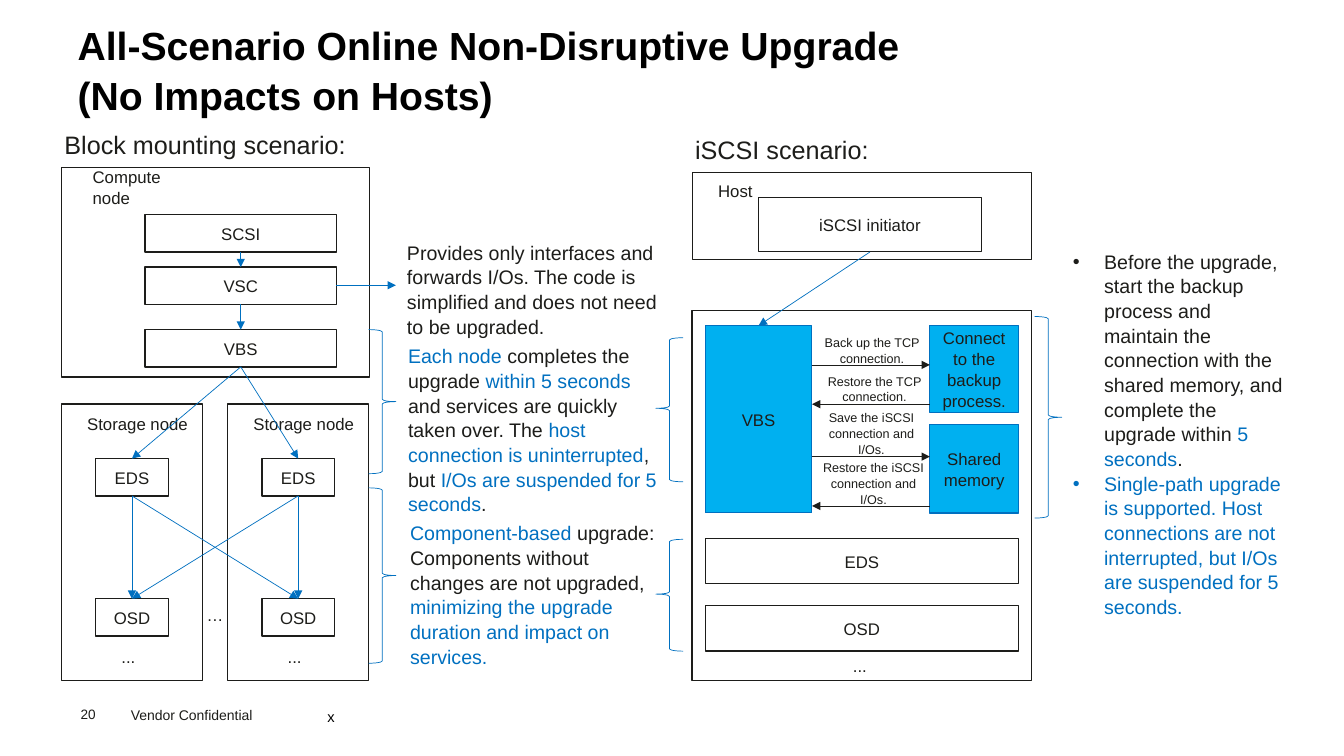
from typing import NamedTuple, Optional

from lxml import etree
from pptx import Presentation
from pptx import util as u
from pptx.dml.color import RGBColor
from pptx.enum import shapes, text
from pptx.oxml.ns import qn

CELL = u.Inches(0.1)  # grid cell: all positions are counted in columns and rows
COLUMNS, ROWS = 133.4, 75
DARK, BLUE, CYAN, WHITE, BLACK = "1D1D1A", "0070C0", "00B0F0", "FFFFFF", "000000"
TOP, LEFT, BOTTOM, RIGHT = range(4)  # connection sites of a rectangle
NO_INSETS, BOX_INSETS, TITLE_INSETS = (0, 0, 0, 0), (1, 0.5, 1, 0.5), (0, 0.5, 1, 0.5)


class Area(NamedTuple):
    column: float
    row: float
    columns: float
    rows: float


class Style(NamedTuple):
    size: float = 12
    color: str = DARK
    bold: bool = False
    centered: bool = False
    middle: bool = True
    insets: tuple = NO_INSETS
    bullets: bool = False


class Label(NamedTuple):
    area: Area
    words: str
    style: Style


class Arrow(NamedTuple):
    start: tuple
    end: tuple


class Brace(NamedTuple):
    area: Area
    flipped: bool = False


BOXED = Style(centered=True, insets=BOX_INSETS)
CAPTION = BOXED._replace(size=9)
HEADING = Style(size=18)
BODY = Style(size=14)


def rgb(color: str) -> RGBColor:
    return RGBColor.from_string(color)


def cells(*counts: float) -> list:
    return [round(count * CELL) for count in counts]


def add_bullet(paragraph, color: str) -> None:
    properties = paragraph._p.get_or_add_pPr()
    indent = cells(3.1)[0]
    properties.set("marL", str(indent))
    properties.set("indent", str(-indent))
    bullet_color = etree.SubElement(properties, qn("a:buClr"))
    etree.SubElement(bullet_color, qn("a:srgbClr"), val=color)
    etree.SubElement(properties, qn("a:buFont"), typeface="Arial")
    etree.SubElement(properties, qn("a:buChar"), char="•")


def write(shape, words: str, style: Style) -> None:
    """Fill a shape with text; parts between asterisks are blue."""
    frame = shape.text_frame
    frame.word_wrap = True
    frame.vertical_anchor = text.MSO_ANCHOR.MIDDLE if style.middle else text.MSO_ANCHOR.TOP
    (frame.margin_left, frame.margin_top,
     frame.margin_right, frame.margin_bottom) = cells(*style.insets)
    for index, line in enumerate(words.split("\n")):
        paragraph = frame.add_paragraph() if index else frame.paragraphs[0]
        paragraph.alignment = text.PP_ALIGN.CENTER if style.centered else text.PP_ALIGN.LEFT
        paragraph.line_spacing = 1.05
        if style.bullets:
            add_bullet(paragraph, BLUE if line.startswith("*") else style.color)
        font = paragraph.font
        font.name, font.size, font.bold = "Arial", u.Pt(style.size), style.bold
        font.color.rgb = rgb(style.color)
        for part, words_part in enumerate(line.split("*")):
            if words_part:
                run = paragraph.add_run()
                run.text = words_part
                if part % 2:
                    run.font.color.rgb = rgb(BLUE)


def add_label(slide, label: Label) -> None:
    write(slide.shapes.add_textbox(*cells(*label.area)), label.words, label.style)


def add_box(slide, area: Area, words: str = "", fill: str = WHITE,
            line: str = DARK, width: float = 1):
    shape = slide.shapes.add_shape(shapes.MSO_SHAPE.RECTANGLE, *cells(*area))
    shape.shadow.inherit = False
    shape.fill.solid()
    shape.fill.fore_color.rgb = rgb(fill)
    shape.line.color.rgb = rgb(line)
    shape.line.width = u.Pt(width)
    if words:
        write(shape, words, BOXED)
    return shape


def add_arrow(slide, arrow: Arrow, color: str = BLUE):
    connector = slide.shapes.add_connector(
        shapes.MSO_CONNECTOR.STRAIGHT, *cells(*arrow.start, *arrow.end))
    connector.line.color.rgb = rgb(color)
    connector.line.width = u.Pt(0.5)
    etree.SubElement(connector.line._get_or_add_ln(), qn("a:tailEnd"), type="triangle")
    etree.SubElement(connector._element.spPr, qn("a:effectLst"))
    return connector


def link(slide, source, target, source_site: int = BOTTOM, target_site: int = TOP) -> None:
    connector = add_arrow(slide, Arrow((0, 0), (0, 0)))
    connector.begin_connect(source, source_site)
    connector.end_connect(target, target_site)


def add_brace(slide, brace: Brace) -> None:
    shape = slide.shapes.add_shape(shapes.MSO_SHAPE.RIGHT_BRACE, *cells(*brace.area))
    shape.shadow.inherit = False
    shape.fill.background()
    shape.line.color.rgb = rgb(BLUE)
    shape.line.width = u.Pt(0.5)
    if brace.flipped:
        shape.rotation = 180
        shape.adjustments[1] = 0.51


def add_dots(slide, area: Area, dots: str = "...") -> None:
    add_box(slide, area, dots, line=WHITE)


def draw_block_mounting(slide) -> None:
    add_dots(slide, Area(18.9, 59.1, 4.9, 3.7), "…")
    add_box(slide, Area(6.1, 16.6, 30.6, 20.8))
    scsi, vsc, vbs = [add_box(slide, Area(14.4, row, 19, 3.7), name)
                      for name, row in (("SCSI", 21.3), ("VSC", 26.5), ("VBS", 32.7))]
    link(slide, scsi, vsc)
    link(slide, vsc, vbs)
    add_arrow(slide, Arrow((33.4, 28.3), (39.3, 28.3)))

    eds_boxes, osd_boxes = [], []
    for column in (6.1, 22.6):
        add_box(slide, Area(column, 40.1, 14, 27.4))
        add_label(slide, Label(Area(column + 2.1, 41, 10.9, 2), "Storage node",
                               Style(centered=True)))
        eds_boxes.append(add_box(slide, Area(column + 3.4, 45.5, 7.2, 3.7), "EDS"))
        osd_boxes.append(add_box(slide, Area(column + 3.4, 59.4, 7.2, 3.7), "OSD"))
        add_dots(slide, Area(column + 4.2, 63.3, 4.9, 3.7))
    for eds in eds_boxes:
        link(slide, vbs, eds)
        for osd in osd_boxes:
            link(slide, eds, osd)


def draw_iscsi(slide) -> None:
    add_box(slide, Area(68.7, 17.1, 33.7, 8.7), width=0.75)
    initiator = add_box(slide, Area(75.3, 19.6, 22.1, 5.4), "iSCSI initiator", width=0.75)
    add_box(slide, Area(68.7, 30.8, 33.7, 36.7))
    vbs, _, _ = [add_box(slide, area, name, CYAN, BLUE, 0.75) for area, name in (
        (Area(70, 32.3, 10.6, 18.6), "VBS"),
        (Area(92.3, 32.3, 8.8, 8.6), "Connect to the backup process."),
        (Area(92.3, 42.1, 8.8, 8.8), "Shared memory"))]
    link(slide, initiator, vbs)
    for row, outward in ((36.2, True), (40.1, False), (45.3, True), (50.2, False)):
        near, far = (80.6, row), (92.3, row)
        add_arrow(slide, Arrow(near, far) if outward else Arrow(far, near), DARK)
    for name, row in (("EDS", 53.4), ("OSD", 60.1)):
        add_box(slide, Area(70, row, 31.1, 4.5), name)
    add_dots(slide, Area(82.9, 65.2, 4.9, 1.6))


LABELS = [
    Label(Area(7.7, 1.4, 88.6, 5.3),
          "All-Scenario Online Non-Disruptive Upgrade (No Impacts on Hosts)",
          Style(28, BLACK, bold=True, middle=False, insets=TITLE_INSETS)),
    Label(Area(6.4, 12.8, 30, 3), "Block mounting scenario:", HEADING),
    Label(Area(69, 13.5, 30, 2.6), "iSCSI scenario:", HEADING),
    Label(Area(9.2, 17.5, 10, 2), "Compute node", Style()),
    Label(Area(70.3, 17.4, 5, 3), "Host", Style(insets=(1, 0.5, 0, 0.5))),
    Label(Area(40.4, 19.6, 25.7, 18.1), "Provides only interfaces and forwards I/Os. "
          "The code is simplified and does not need to be upgraded.", BODY),
    Label(Area(40.5, 33.9, 24.9, 17.4), "*Each node *completes the upgrade *within 5 seconds *"
          "and services are quickly taken over. The *host connection is uninterrupted*, "
          "but *I/Os are suspended for 5 seconds*.", BODY),
    Label(Area(40.7, 51.6, 25.2, 15.2), "*Component-based *upgrade: Components without changes "
          "are not upgraded, *minimizing the upgrade duration and impact on services.*",
          BODY._replace(middle=False)),
    Label(Area(106.5, 17.1, 21.4, 51.8), "Before the upgrade, start the backup process and "
          "maintain the connection with the shared memory, and complete the upgrade within "
          "*5 seconds*.\n*Single-path upgrade is supported. Host connections are not "
          "interrupted, but I/Os are suspended for 5 seconds.*", BODY._replace(bullets=True)),
    Label(Area(80.6, 31.2, 11.9, 7.1), "Back up the TCP connection.", CAPTION),
    Label(Area(80.2, 36.9, 13.2, 3.3), "Restore the TCP connection.", CAPTION),
    Label(Area(80.7, 40.6, 11.6, 4.7), "Save the iSCSI connection and I/Os.", CAPTION),
    Label(Area(80.7, 45.7, 12, 4.5), "Restore the iSCSI connection and I/Os.", CAPTION),
    Label(Area(8, 70, 5.5, 1.6), "20", Style(9.7, middle=False)),
    Label(Area(12, 69.5, 16, 2.7), "Vendor Confidential",
          Style(10, middle=False, insets=BOX_INSETS)),
    Label(Area(31.5, 69.6, 2.8, 2.8), "x", Style(10.5, BLACK, middle=False, insets=BOX_INSETS)),
]

BRACES = [
    Brace(Area(36.6, 32.7, 2.7, 14.3)),
    Brace(Area(36.6, 48.4, 2.7, 17.4)),
    Brace(Area(102.7, 31.4, 2.7, 20)),
    Brace(Area(65.1, 33.5, 2.7, 14.3), flipped=True),
    Brace(Area(65.1, 53.5, 2.7, 11.1), flipped=True),
]


def main() -> None:
    presentation = Presentation()
    presentation.slide_width, presentation.slide_height = cells(COLUMNS, ROWS)
    slide = presentation.slides.add_slide(presentation.slide_layouts[6])
    draw_block_mounting(slide)
    draw_iscsi(slide)
    for label in LABELS:
        add_label(slide, label)
    for brace in BRACES:
        add_brace(slide, brace)
    presentation.save("out.pptx")


if __name__ == "__main__":
    main()
